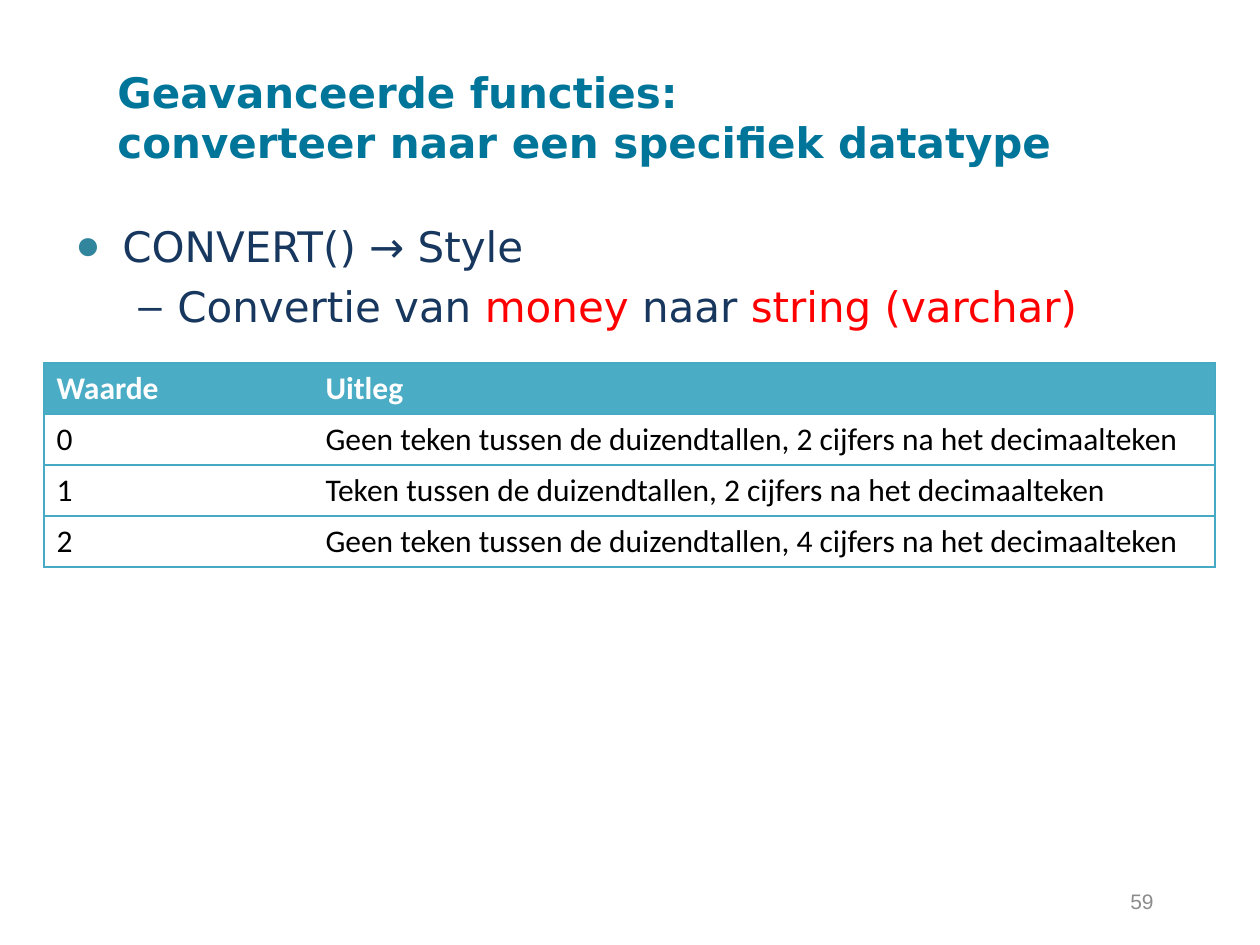
import pptx
import pptx.dml.color
import pptx.enum.text
import pptx.oxml
import pptx.oxml.ns
import pptx.util

PIXELS_PER_INCH = 126
TITLE_COLOUR, BODY_COLOUR, ACCENT, BULLET = "00759A", "17375E", "FF0000", "31859C"
HEADER_FILL, BORDER = "4BACC6", "46AAC5"
BODY_FONT, TABLE_FONT, NUMBER_FONT = "DejaVu Sans", "Calibri", "Arial"

TITLE = ["Geavanceerde functies:", "converteer naar een specifiek datatype"]
BULLETS = [
    {"runs": [("CONVERT() → Style", BODY_COLOUR)],
     "bullet": "●", "bullet_colour": BULLET, "margin": 47, "hanging": 47},
    {"runs": [("Convertie van ", BODY_COLOUR), ("money", ACCENT),
              (" naar ", BODY_COLOUR), ("string (varchar)", ACCENT)],
     "bullet": "–", "bullet_colour": BODY_COLOUR, "margin": 102, "hanging": 39},
]
SLIDE_NUMBER = "59"
TABLE = [
    ("Waarde", "Uitleg"),
    ("0", "Geen teken tussen de duizendtallen, 2 cijfers na het decimaalteken"),
    ("1", "Teken tussen de duizendtallen, 2 cijfers na het decimaalteken"),
    ("2", "Geen teken tussen de duizendtallen, 4 cijfers na het decimaalteken"),
]
TABLE_LEFT, TABLE_TOP, ROW_HEIGHT = 44, 363, 51
COLUMN_WIDTHS = [269, 902]


def px(length):
    return round(length * 914400 / PIXELS_PER_INCH)


def rgb(colour):
    return pptx.dml.color.RGBColor.from_string(colour)


def add_text(paragraph, text, *, size, font, colour, bold=False):
    run = paragraph.add_run()
    run.text = text
    run.font.size = pptx.util.Pt(size)
    run.font.name = font
    run.font.bold = bold
    run.font.color.rgb = rgb(colour)


def add_text_frame(slide, left, top, width, height, middle=False):
    frame = slide.shapes.add_textbox(px(left), px(top), px(width), px(height)).text_frame
    frame.word_wrap = True
    if middle:
        frame.vertical_anchor = pptx.enum.text.MSO_ANCHOR.MIDDLE
    return frame


def set_bullet(paragraph, character, colour, margin, hanging):
    properties = paragraph._p.get_or_add_pPr()
    properties.set("marL", str(px(margin)))
    properties.set("indent", str(-px(hanging)))
    namespace = pptx.oxml.ns.nsdecls("a")
    for xml in (
        f'<a:buClr {namespace}><a:srgbClr val="{colour}"/></a:buClr>',
        f'<a:buFont {namespace} typeface="Arial"/>',
        f'<a:buChar {namespace} char="{character}"/>',
    ):
        properties.append(pptx.oxml.parse_xml(xml))


def set_borders(cell, visible_sides):
    """Draw the named sides (of L, R, T, B) and hide the others."""
    properties = cell._tc.get_or_add_tcPr()
    for position, side in enumerate("LRTB"):
        paint = "<a:noFill/>"
        if side in visible_sides:
            paint = f'<a:solidFill><a:srgbClr val="{BORDER}"/></a:solidFill>'
        line = pptx.oxml.parse_xml(
            f'<a:ln{side} {pptx.oxml.ns.nsdecls("a")} w="{pptx.util.Pt(0.75)}">{paint}</a:ln{side}>')
        properties.insert(position, line)


def add_value_table(slide):
    table = slide.shapes.add_table(
        len(TABLE), len(COLUMN_WIDTHS), px(TABLE_LEFT), px(TABLE_TOP),
        px(sum(COLUMN_WIDTHS)), px(ROW_HEIGHT * len(TABLE))).table
    table.horz_banding = False
    for column, width in zip(table.columns, COLUMN_WIDTHS):
        column.width = px(width)
    for row_index, values in enumerate(TABLE):
        is_header = row_index == 0
        table.rows[row_index].height = px(ROW_HEIGHT)
        for column_index, value in enumerate(values):
            cell = table.cell(row_index, column_index)
            if is_header:
                cell.fill.solid()
                cell.fill.fore_color.rgb = rgb(HEADER_FILL)
            else:
                cell.fill.background()
            add_text(cell.text_frame.paragraphs[0], value, size=18, font=TABLE_FONT,
                     colour="FFFFFF" if is_header else "000000", bold=is_header)
            set_borders(cell, "TB" + ("L" if column_index == 0 else "R"))


def main():
    presentation = pptx.Presentation()
    presentation.slide_width, presentation.slide_height = px(1260), px(945)
    slide = presentation.slides.add_slide(presentation.slide_layouts[6])

    title = add_text_frame(slide, 105, 38, 1155, 157, middle=True).paragraphs[0]
    for index, line in enumerate(TITLE):
        if index:
            title.add_line_break()
        add_text(title, line, size=24, font=BODY_FONT, colour=TITLE_COLOUR, bold=True)

    body = add_text_frame(slide, 63, 214, 1197, 712)
    for index, item in enumerate(BULLETS):
        paragraph = body.add_paragraph() if index else body.paragraphs[0]
        paragraph.level = index
        paragraph.space_before = pptx.util.Pt(5.6)
        set_bullet(paragraph, item["bullet"], item["bullet_colour"],
                   item["margin"], item["hanging"])
        for text, colour in item["runs"]:
            add_text(paragraph, text, size=24, font=BODY_FONT, colour=colour)

    number = add_text_frame(slide, 872, 876, 294, 50, middle=True).paragraphs[0]
    number.alignment = pptx.enum.text.PP_ALIGN.RIGHT
    add_text(number, SLIDE_NUMBER, size=12, font=NUMBER_FONT, colour="8C8C8C")

    add_value_table(slide)
    presentation.save("out.pptx")


if __name__ == "__main__":
    main()
